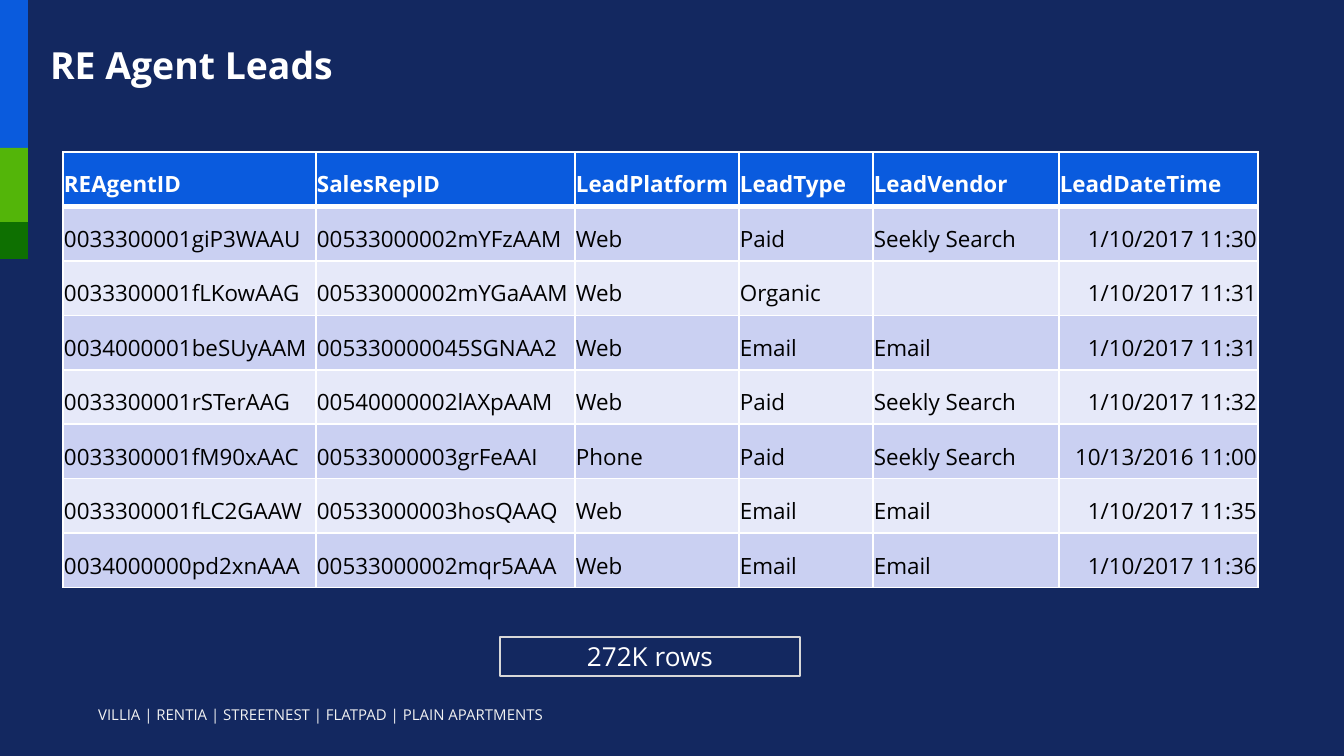
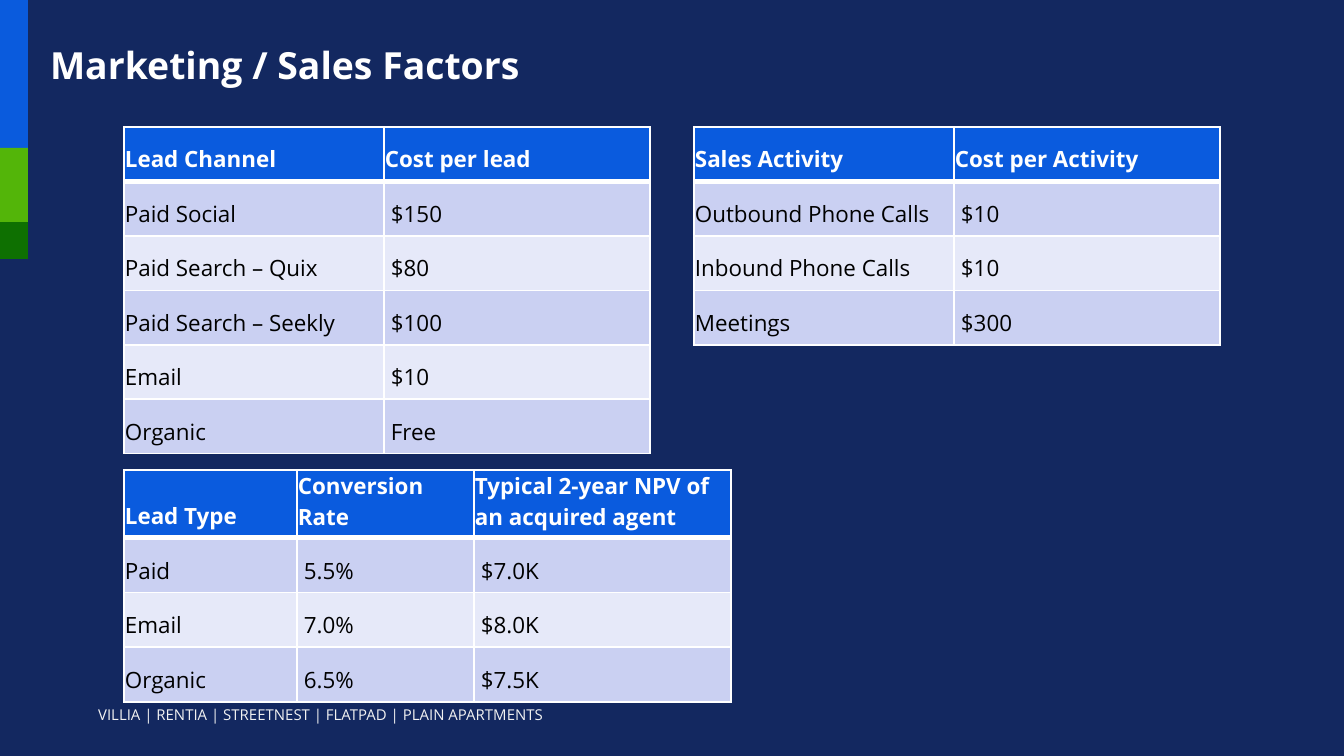
from lxml.etree import SubElement
from pptx import Presentation
from pptx.dml.color import RGBColor
from pptx.enum.shapes import MSO_SHAPE as Shape
from pptx.enum.text import MSO_ANCHOR as Anchor, MSO_AUTO_SIZE as AutoSize, PP_ALIGN as Align
from pptx.oxml.ns import qn
from pptx.util import Inches, Pt

PX = Inches(10) / 1344
FONT = "Open Sans"

NAVY = RGBColor(0x13, 0x28, 0x60)
BLUE = RGBColor(0x0A, 0x5B, 0xDD)
GREEN = RGBColor(0x53, 0xB5, 0x09)
DARK_GREEN = RGBColor(0x0E, 0x70, 0x01)
HEADER_BLUE = RGBColor(0x0A, 0x5B, 0xDE)
BAND_DARK = RGBColor(0xCA, 0xD0, 0xF2)
BAND_LIGHT = RGBColor(0xE6, 0xE9, 0xF9)
WHITE = RGBColor(0xFF, 0xFF, 0xFF)
OFF_WHITE = RGBColor(0xF2, 0xF2, 0xF2)
GRAY = RGBColor(0xD8, 0xD8, 0xD8)
BLACK = RGBColor(0x00, 0x00, 0x00)

SIDE_BANDS = [(0, 148, BLUE), (148, 74, GREEN), (222, 37, DARK_GREEN)]
FOOTER = "VILLIA | RENTIA | STREETNEST | FLATPAD | PLAIN APARTMENTS"

LEADS = [
    ["REAgentID", "SalesRepID", "LeadPlatform", "LeadType", "LeadVendor", "LeadDateTime"],
    ["0033300001giP3WAAU", "00533000002mYFzAAM", "Web", "Paid", "Seekly Search", "1/10/2017 11:30"],
    ["0033300001fLKowAAG", "00533000002mYGaAAM", "Web", "Organic", "", "1/10/2017 11:31"],
    ["0034000001beSUyAAM", "005330000045SGNAA2", "Web", "Email", "Email", "1/10/2017 11:31"],
    ["0033300001rSTerAAG", "00540000002lAXpAAM", "Web", "Paid", "Seekly Search", "1/10/2017 11:32"],
    ["0033300001fM90xAAC", "00533000003grFeAAI", "Phone", "Paid", "Seekly Search", "10/13/2016 11:00"],
    ["0033300001fLC2GAAW", "00533000003hosQAAQ", "Web", "Email", "Email", "1/10/2017 11:35"],
    ["0034000000pd2xnAAA", "00533000002mqr5AAA", "Web", "Email", "Email", "1/10/2017 11:36"],
]
ACTIVITY_COSTS = [
    ["Sales Activity", "Cost per Activity"],
    ["Outbound Phone Calls", "$10"],
    ["Inbound Phone Calls", "$10"],
    ["Meetings", "$300"],
]
CHANNEL_COSTS = [
    ["Lead Channel", "Cost per lead"],
    ["Paid Social", "$150"],
    ["Paid Search – Quix", "$80"],
    ["Paid Search – Seekly", "$100"],
    ["Email", "$10"],
    ["Organic", "Free"],
]
CONVERSIONS = [
    ["Lead Type", "Conversion Rate", "Typical 2-year NPV of an acquired agent"],
    ["Paid", "5.5%", "$7.0K"],
    ["Email", "7.0%", "$8.0K"],
    ["Organic", "6.5%", "$7.5K"],
]


def px(*lengths):
    return [round(length * PX) for length in lengths]


def write(frame, text, size=12, color=WHITE, bold=False, align=Align.LEFT, line_spacing=None):
    paragraph = frame.paragraphs[0]
    paragraph.alignment = align
    paragraph.line_spacing = line_spacing
    run = paragraph.add_run()
    run.text = text
    run.font.name = FONT
    run.font.size = Pt(size)
    run.font.bold = bold
    run.font.color.rgb = color


def set_margins(target, left, top, right, bottom):
    """Set the insets of a text frame or a table cell."""
    target.margin_left, target.margin_top, target.margin_right, target.margin_bottom = px(
        left, top, right, bottom)


def add_rectangle(slide, left, top, width, height, fill=None, line=None):
    shape = slide.shapes.add_shape(Shape.RECTANGLE, *px(left, top, width, height))
    shape.shadow.inherit = False
    if fill is None:
        shape.fill.background()
    else:
        shape.fill.solid()
        shape.fill.fore_color.rgb = fill
    if line is None:
        shape.line.fill.background()
    else:
        shape.line.color.rgb = line
        shape.line.width = Pt(1)
    return shape


def add_footer(slide):
    frame = slide.shapes.add_textbox(*px(85, 699, 501, 32)).text_frame
    frame.word_wrap = True
    write(frame, FOOTER, size=8, color=OFF_WHITE)


def add_slide(presentation, title):
    slide = presentation.slides.add_slide(presentation.slide_layouts.get_by_name("Title Only"))
    for top, height, color in SIDE_BANDS:
        add_rectangle(slide, 0, top, 28, height, fill=color)
    add_footer(slide)
    shape = slide.shapes.title
    shape.left, shape.top, shape.width, shape.height = px(47, 30, 1279, 59)
    frame = shape.text_frame
    frame.word_wrap = True
    frame.auto_size = AutoSize.NONE
    frame.vertical_anchor = Anchor.BOTTOM
    set_margins(frame, 3, 1, 3, 1)
    write(frame, title, size=20, bold=True, line_spacing=0.9)
    return slide


def add_borders(cell, top=1, bottom=1):
    properties = cell._tc.get_or_add_tcPr()
    for side, points in (("L", 1), ("R", 1), ("T", top), ("B", bottom)):
        line = SubElement(properties, qn(f"a:ln{side}"), w=str(Pt(points)))
        fill = SubElement(line, qn("a:solidFill"))
        SubElement(fill, qn("a:srgbClr"), val=str(WHITE))


def format_cell(cell, text, row, align, indent):
    header = row == 0
    add_borders(cell, top=3 if row == 1 else 1, bottom=3 if header else 1)
    cell.fill.solid()
    cell.fill.fore_color.rgb = HEADER_BLUE if header else (BAND_LIGHT, BAND_DARK)[row % 2]
    cell.vertical_anchor = Anchor.BOTTOM
    set_margins(cell, 1 + indent, 1, 1, 7)
    if text:
        write(cell.text_frame, text, color=WHITE if header else BLACK, bold=header, align=align)


def add_banded_table(slide, rows, left, top, widths, height, header_height=None,
                     right_columns=(), indent=0):
    """Body cells after the first column are indented; right_columns align right."""
    table = slide.shapes.add_table(
        len(rows), len(widths), *px(left, top, sum(widths), height)).table
    for column, width in zip(table.columns, px(*widths)):
        column.width = width
    header_height = header_height or height / len(rows)
    body_height = (height - header_height) / (len(rows) - 1)
    for r, texts in enumerate(rows):
        table.rows[r].height = px(body_height if r else header_height)[0]
        for c, text in enumerate(texts):
            align = Align.RIGHT if r and c in right_columns else Align.LEFT
            format_cell(table.cell(r, c), text, r, align, indent if r and c else 0)


def add_leads_slide(presentation):
    slide = add_slide(presentation, "RE Agent Leads")
    add_banded_table(slide, LEADS, 63, 152, [253, 259, 164, 134, 186, 199], 436,
                     right_columns=(5,))
    row_count = add_rectangle(slide, 500, 637, 300, 39, line=GRAY).text_frame
    row_count.vertical_anchor = Anchor.MIDDLE
    write(row_count, "272K rows", size=14, align=Align.CENTER)


def add_factors_slide(presentation):
    slide = add_slide(presentation, "Marketing / Sales Factors")
    cost_widths = [260, 266]
    add_banded_table(slide, ACTIVITY_COSTS, 694, 127, cost_widths, 218, indent=6)
    add_banded_table(slide, CHANNEL_COSTS, 124, 127, cost_widths, 327, indent=6)
    add_banded_table(slide, CONVERSIONS, 124, 470, [173, 177, 257], 232,
                     header_height=68, indent=6)


def main():
    presentation = Presentation()
    presentation.slide_width, presentation.slide_height = px(1344, 756)
    background = presentation.slide_master.background.fill
    background.solid()
    background.fore_color.rgb = NAVY
    add_leads_slide(presentation)
    add_factors_slide(presentation)
    presentation.save("out.pptx")


if __name__ == "__main__":
    main()
